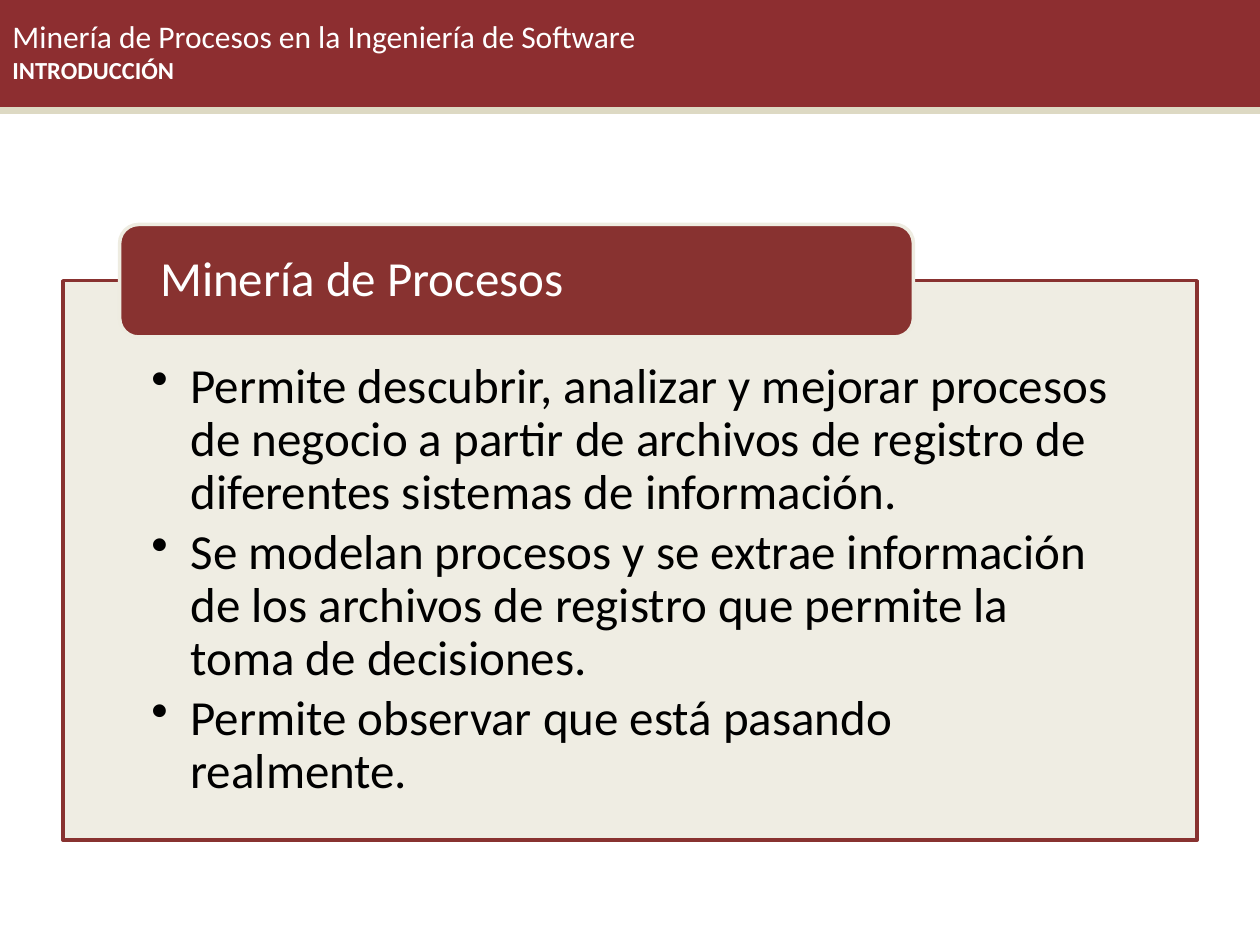
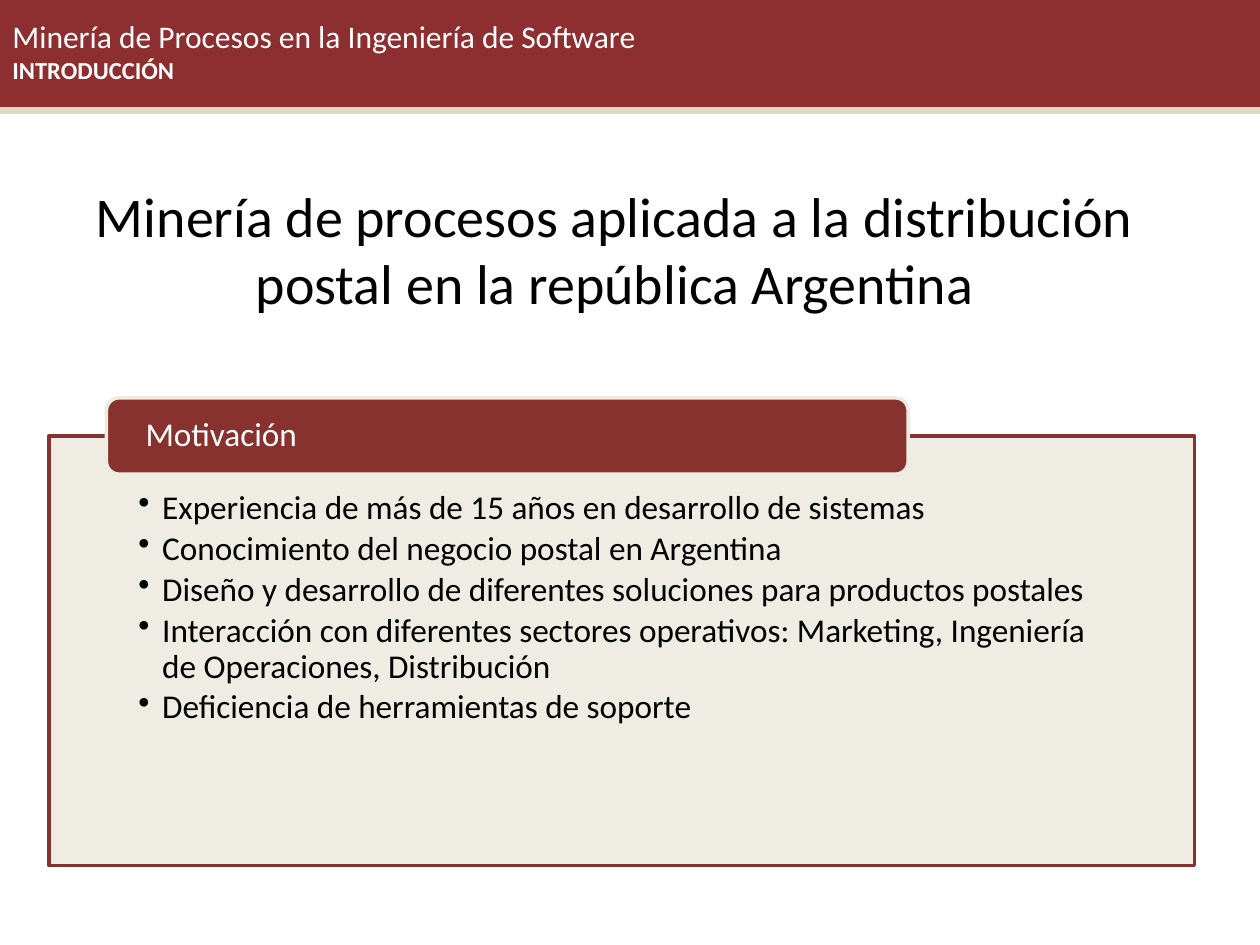
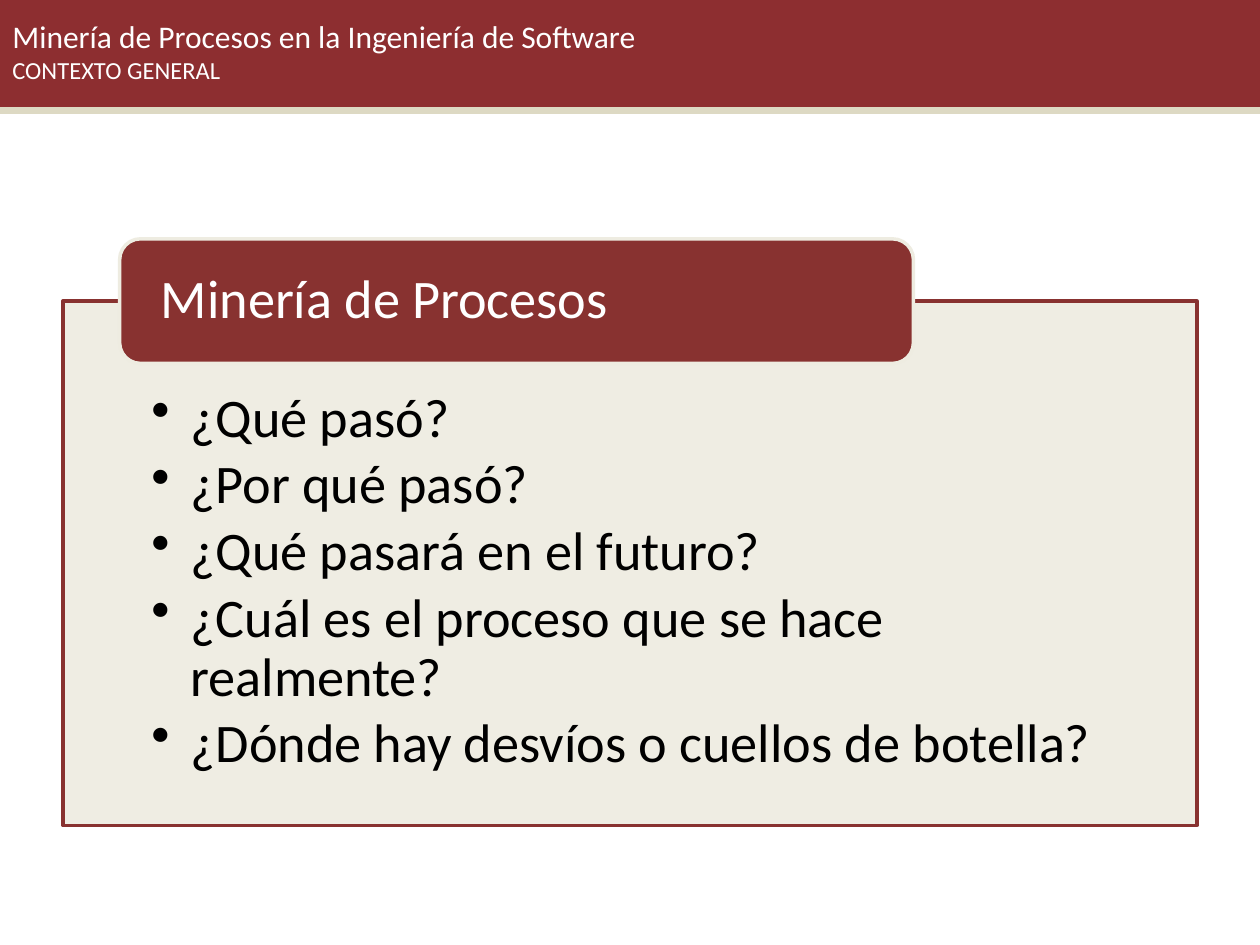
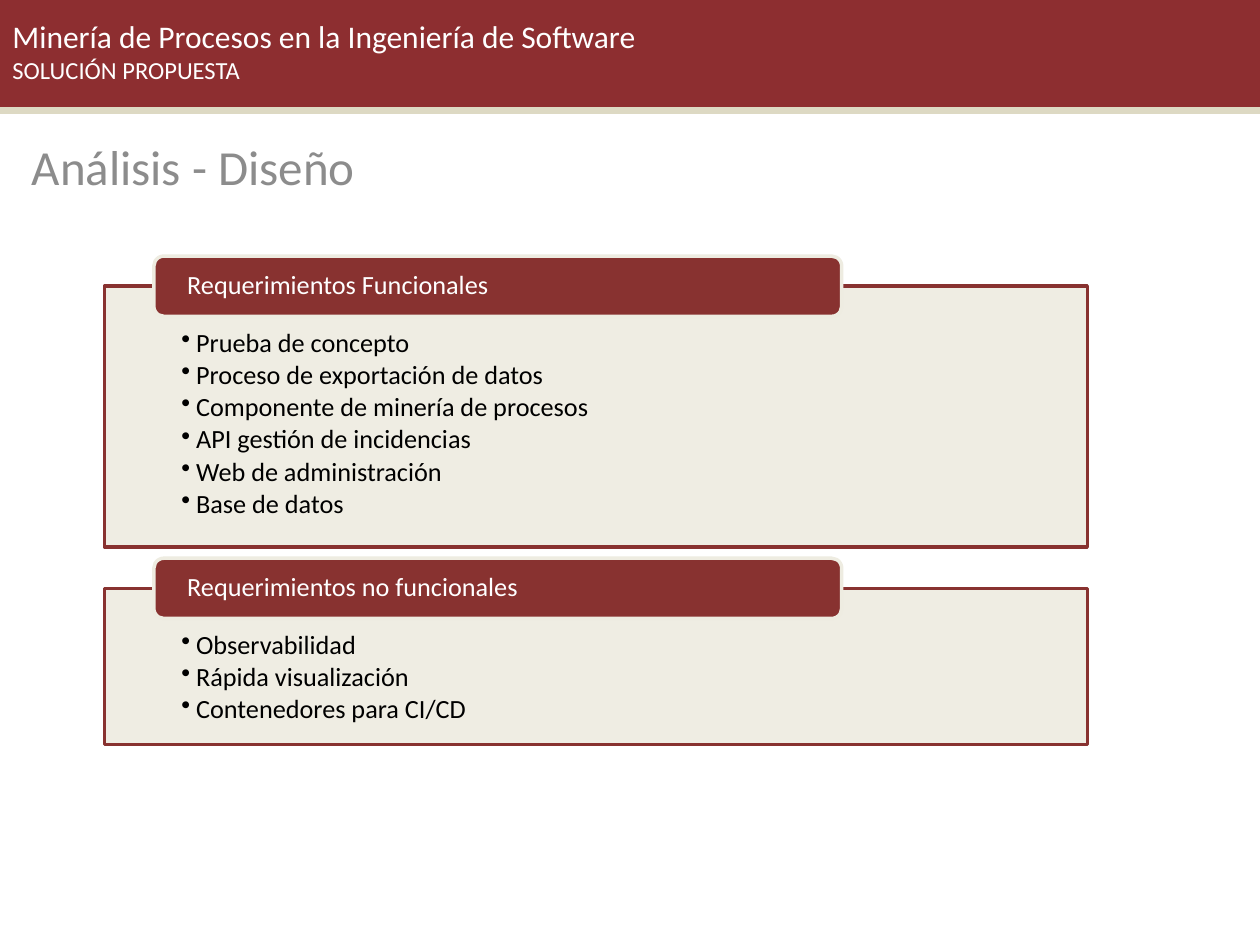
import pptx
import pptx.dml.color
import pptx.enum.shapes
import pptx.enum.text
import pptx.oxml
import pptx.oxml.ns
import pptx.util
from lxml import etree

Cm = pptx.util.Cm
Pt = pptx.util.Pt
RGBColor = pptx.dml.color.RGBColor
SHAPES = pptx.enum.shapes.MSO_SHAPE
ALIGN = pptx.enum.text.PP_ALIGN
ANCHOR = pptx.enum.text.MSO_ANCHOR
qn = pptx.oxml.ns.qn

BANNER_RED = RGBColor(0x8D, 0x2E, 0x30)
TAB_RED = RGBColor(0x88, 0x32, 0x30)
SAND = RGBColor(0xDD, 0xD9, 0xC3)
CREAM = RGBColor(0xEE, 0xEC, 0xE1)
WHITE = RGBColor(0xFF, 0xFF, 0xFF)
BLACK = RGBColor(0x00, 0x00, 0x00)
GREY = RGBColor(0x8C, 0x8C, 0x8C)

FONT = "Calibri"
SLIDE_WIDTH, SLIDE_HEIGHT = 25.4, 19.05
BANNER_BOX = (0, -0.08, SLIDE_WIDTH, 2.21)
STRIP_BOX = (0, 2.13, SLIDE_WIDTH, 0.13)
TITLE_ONLY = 5
COURSE = "Minería de Procesos en la Ingeniería de Software"


def paint(shape, fill, line):
    shape.fill.solid()
    shape.fill.fore_color.rgb = fill
    shape.line.color.rgb = line
    shape.line.width = Pt(2)


def add_block(page, kind, box, fill, line):
    shape = page.shapes.add_shape(kind, *map(Cm, box))
    shape.shadow.inherit = False
    paint(shape, fill, line)
    return shape


def set_frame(shape, anchor, insets=(0.25, 0.13, 0.25, 0.13)):
    """Prepare the text frame; insets are left, top, right, bottom in cm."""
    frame = shape.text_frame
    frame.word_wrap = True
    frame.auto_size = pptx.enum.text.MSO_AUTO_SIZE.NONE
    frame.vertical_anchor = anchor
    frame.margin_left, frame.margin_top, frame.margin_right, frame.margin_bottom = map(Cm, insets)
    return frame


def next_para(frame, index, align=ALIGN.LEFT):
    para = frame.add_paragraph() if index else frame.paragraphs[0]
    para.alignment = align
    return para


def add_span(para, text, size, color, bold=False):
    span = para.add_run()
    span.text = text
    span.font.name = FONT
    span.font.size = Pt(size)
    span.font.bold = bold
    span.font.color.rgb = color


def set_bullet(para, indent):
    properties = para._p.get_or_add_pPr()
    properties.set("marL", str(Cm(indent)))
    properties.set("indent", str(-Cm(indent)))
    etree.SubElement(properties, qn("a:buChar")).set("char", "•")


def set_opacity(shape, percent):
    color = shape.fill._xPr.find(qn("a:solidFill"))[0]
    etree.SubElement(color, qn("a:alpha")).set("val", str(percent * 1000))


def add_page(deck, section, bold=False):
    """Add a slide whose title is the red banner over a sand strip."""
    page = deck.slides.add_slide(deck.slide_layouts[TITLE_ONLY])
    strip = add_block(page, SHAPES.RECTANGLE, STRIP_BOX, SAND, SAND)
    banner = page.shapes.title
    strip.element.addnext(banner.element)
    banner.left, banner.top, banner.width, banner.height = map(Cm, BANNER_BOX)
    paint(banner, BANNER_RED, BANNER_RED)
    frame = set_frame(banner, ANCHOR.MIDDLE)
    add_span(next_para(frame, 0), COURSE, 18, WHITE)
    add_span(next_para(frame, 1), section, 14, WHITE, bold)
    return page


def add_heading(page, box, text, size, color):
    heading = page.shapes.add_textbox(*map(Cm, box))
    frame = set_frame(heading, ANCHOR.TOP)
    add_span(next_para(frame, 0, ALIGN.CENTER), text, size, color)


def add_panel(page, box, label, items, size, indent):
    """Add a bulleted panel with a tab on its top edge, both scaled by text size."""
    left, top, width, _ = box
    panel = add_block(page, SHAPES.RECTANGLE, box, CREAM, TAB_RED)
    set_opacity(panel, 90)
    side = width * 0.078
    frame = set_frame(panel, ANCHOR.TOP, (side, size * 0.058, side, size * 0.02))
    for index, item in enumerate(items):
        para = next_para(frame, index)
        para.level = 1
        para.line_spacing = 0.9
        para.space_after = Pt(size * 0.15)
        set_bullet(para, indent)
        add_span(para, item, size, BLACK)

    tab_height = size * 0.081
    tab_box = (left + width * 0.05, top - tab_height / 2, width * 0.7, tab_height)
    tab = add_block(page, SHAPES.ROUNDED_RECTANGLE, tab_box, TAB_RED, CREAM)
    side = width * 0.031
    para = next_para(set_frame(tab, ANCHOR.MIDDLE, (side, 0, side, 0)), 0)
    para.line_spacing = 0.9
    add_span(para, label, size, WHITE)


def add_definition(deck):
    page = add_page(deck, "INTRODUCCIÓN", bold=True)
    add_panel(page, (1.27, 5.66, 22.86, 11.28), "Minería de Procesos", [
        "Permite descubrir, analizar y mejorar procesos de negocio a partir de "
        "archivos de registro de diferentes sistemas de información.",
        "Se modelan procesos y se extrae información de los archivos de registro "
        "que permite la toma de decisiones.",
        "Permite observar que está pasando realmente.",
    ], size=28, indent=0.79)


def add_motivation(deck):
    page = add_page(deck, "INTRODUCCIÓN", bold=True)
    add_heading(page, (1.09, 3.53, 22.61, 3.07),
                "Minería de procesos aplicada a la distribución postal en la república Argentina",
                32, BLACK)
    add_panel(page, (0.99, 8.79, 23.09, 8.66), "Motivación", [
        "Experiencia de más de 15 años en desarrollo de sistemas",
        "Conocimiento del negocio postal en Argentina",
        "Diseño y desarrollo de diferentes soluciones para productos postales",
        "Interacción con diferentes sectores operativos: Marketing, "
        "Ingeniería de Operaciones, Distribución",
        "Deficiencia de herramientas de soporte",
    ], size=19, indent=0.48)


def add_questions(deck):
    page = add_page(deck, "CONTEXTO GENERAL")
    add_panel(page, (1.27, 6.07, 22.86, 10.57), "Minería de Procesos", [
        "¿Qué pasó?",
        "¿Por qué pasó?",
        "¿Qué pasará en el futuro?",
        "¿Cuál es el proceso que se hace realmente?",
        "¿Dónde hay desvíos o cuellos de botella?",
    ], size=31, indent=0.79)


def add_requirements(deck):
    page = add_page(deck, "SOLUCIÓN PROPUESTA")
    add_panel(page, (2.11, 5.77, 19.81, 5.26), "Requerimientos Funcionales", [
        "Prueba de concepto",
        "Proceso de exportación de datos",
        "Componente de minería de procesos",
        "API gestión de incidencias",
        "Web de administración",
        "Base de datos",
    ], size=15, indent=0.3)
    add_panel(page, (2.11, 11.86, 19.81, 3.15), "Requerimientos no funcionales", [
        "Observabilidad",
        "Rápida visualización",
        "Contenedores para CI/CD",
    ], size=15, indent=0.3)
    add_heading(page, (0.1, 2.62, 7.59, 1.9), "Análisis - Diseño", 28, GREY)


def main():
    deck = pptx.Presentation()
    deck.slide_width, deck.slide_height = Cm(SLIDE_WIDTH), Cm(SLIDE_HEIGHT)
    add_definition(deck)
    add_motivation(deck)
    add_questions(deck)
    add_requirements(deck)
    deck.save("out.pptx")


if __name__ == "__main__":
    main()
